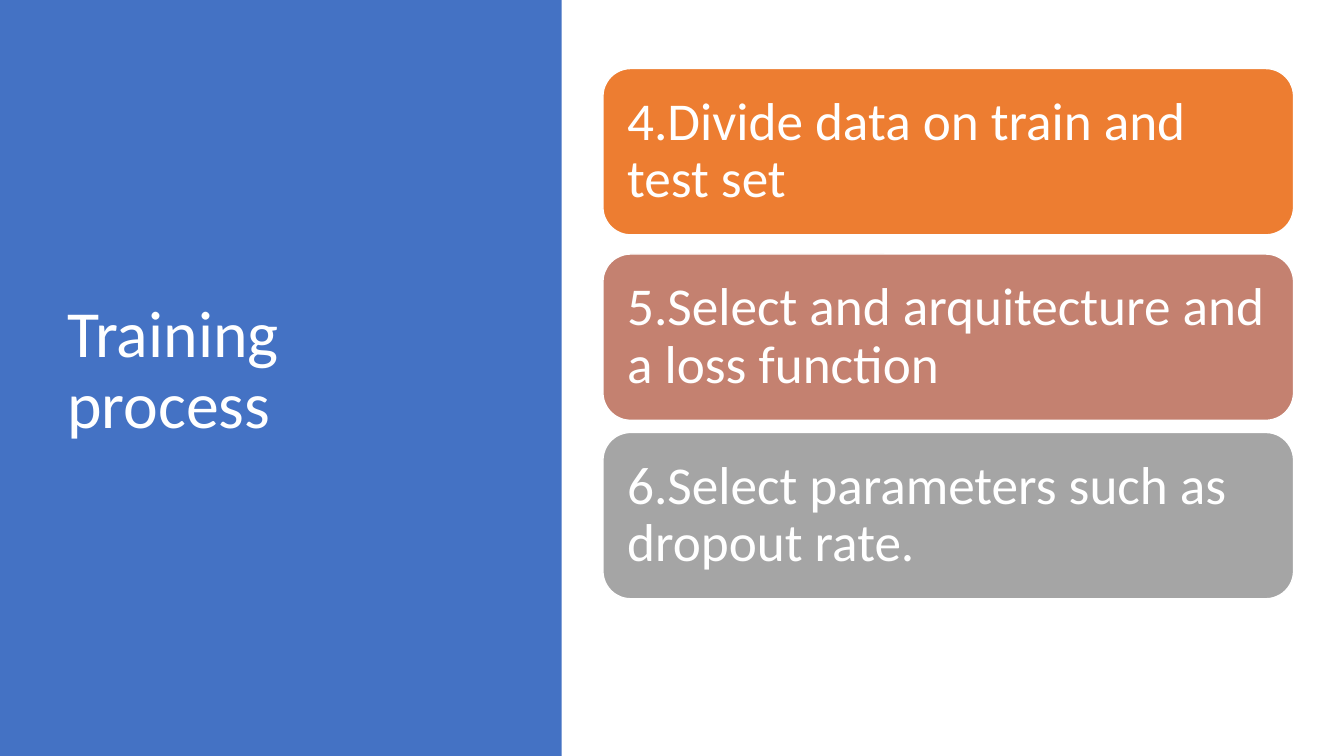
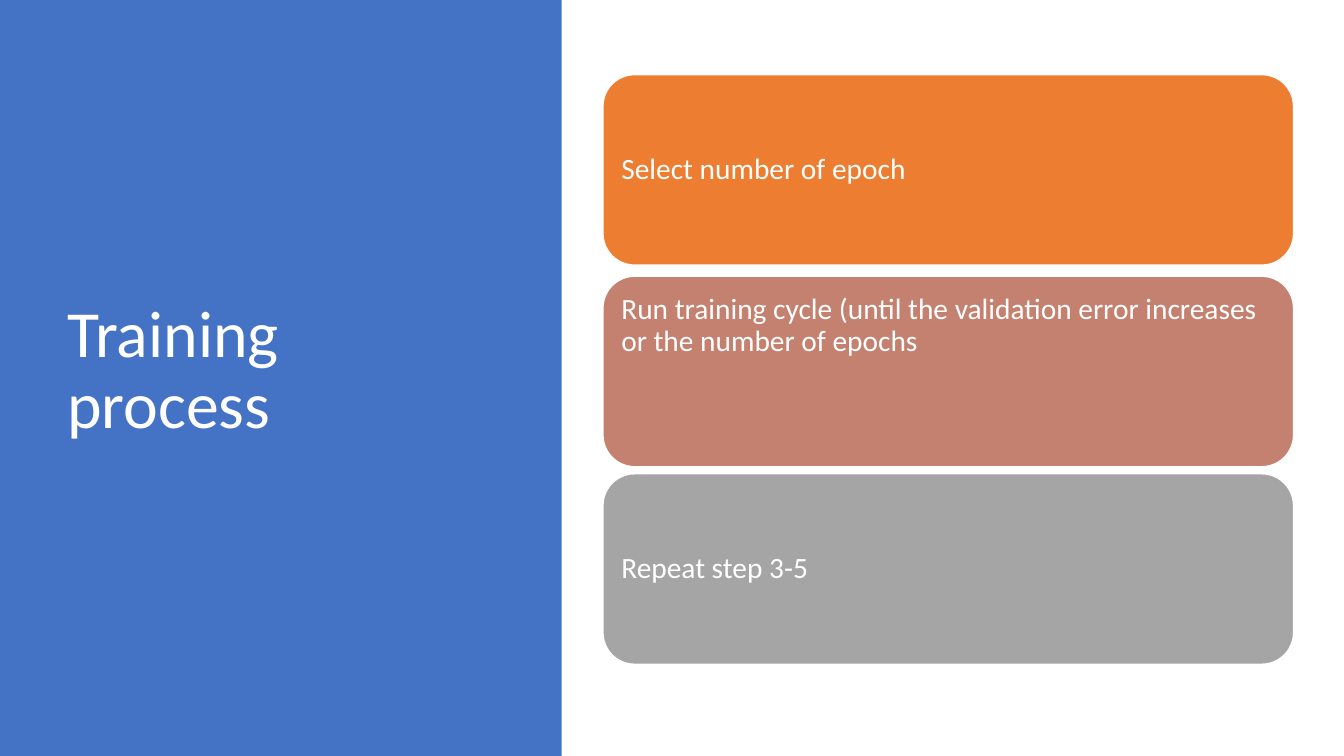
from pptx import Presentation
from pptx.dml.color import RGBColor
from pptx.enum.shapes import MSO_SHAPE
from pptx.enum.text import MSO_ANCHOR, PP_ALIGN
from pptx.util import Inches, Pt


def rgb(value):
    return RGBColor.from_string(value)


class Deck:
    FONT = "Calibri"
    WHITE = "FFFFFF"
    BLUE = "4472C4"
    CARD_COLORS = ("ED7D31", "C48170", "A5A5A5")
    CARD_LEFT, CARD_WIDTH = 5.98, 6.85

    def __init__(self):
        self.prs = Presentation()
        self.prs.slide_width = Inches(13.33)
        self.prs.slide_height = Inches(7.5)
        self.slide = None

    def add_slide(self, title):
        self.slide = self.prs.slides.add_slide(self.prs.slide_layouts[6])
        self.shape(MSO_SHAPE.RECTANGLE, 0, 0, 5.57, 7.5, self.BLUE).line.fill.background()
        sp = self.slide.shapes.add_textbox(Inches(0.57), Inches(0.68), Inches(4.16), Inches(6.02))
        self.set_text(sp, title, 47)

    def shape(self, kind, left, top, width, height, fill):
        sp = self.slide.shapes.add_shape(
            kind, Inches(left), Inches(top), Inches(width), Inches(height))
        sp.shadow.inherit = False
        sp.fill.solid()
        sp.fill.fore_color.rgb = rgb(fill)
        return sp

    def set_text(self, sp, text, size, anchor=MSO_ANCHOR.MIDDLE):
        tf = sp.text_frame
        tf.word_wrap = True
        tf.vertical_anchor = anchor
        p = tf.paragraphs[0]
        p.text = text
        p.alignment = PP_ALIGN.LEFT
        p.line_spacing = 0.9
        p.font.name = self.FONT
        p.font.size = Pt(size)
        p.font.color.rgb = rgb(self.WHITE)

    def card(self, top, height, fill, text, size, inset, anchor):
        sp = self.shape(MSO_SHAPE.ROUNDED_RECTANGLE, self.CARD_LEFT, top,
                        self.CARD_WIDTH, height, fill)
        sp.line.color.rgb = rgb(self.WHITE)
        sp.line.width = Pt(1)
        tf = sp.text_frame
        tf.margin_left = tf.margin_right = Inches(inset)
        tf.margin_top = tf.margin_bottom = Inches(inset)
        self.set_text(sp, text, size, anchor)

    def cards(self, height, size, inset, items):
        for fill, (top, text, anchor) in zip(self.CARD_COLORS, items):
            self.card(top, height, fill, text, size, inset, anchor)


def main():
    deck = Deck()
    title = "Training process"
    middle, upper = MSO_ANCHOR.MIDDLE, MSO_ANCHOR.TOP

    deck.add_slide(title)
    deck.cards(1.65, 38, 0.16, [
        (0.68, "4.Divide data on train and test set", middle),
        (2.52, "5.Select and arquitecture and a loss function", middle),
        (4.29, "6.Select parameters such as dropout rate.", middle),
    ])

    deck.add_slide(title)
    deck.cards(1.89, 21, 0.09, [
        (0.74, "Select number of epoch", middle),
        (2.74, "Run training cycle (until the validation error increases "
               "or the number of epochs", upper),
        (4.7, "Repeat step 3-5", middle),
    ])

    deck.prs.save("out.pptx")


if __name__ == "__main__":
    main()
